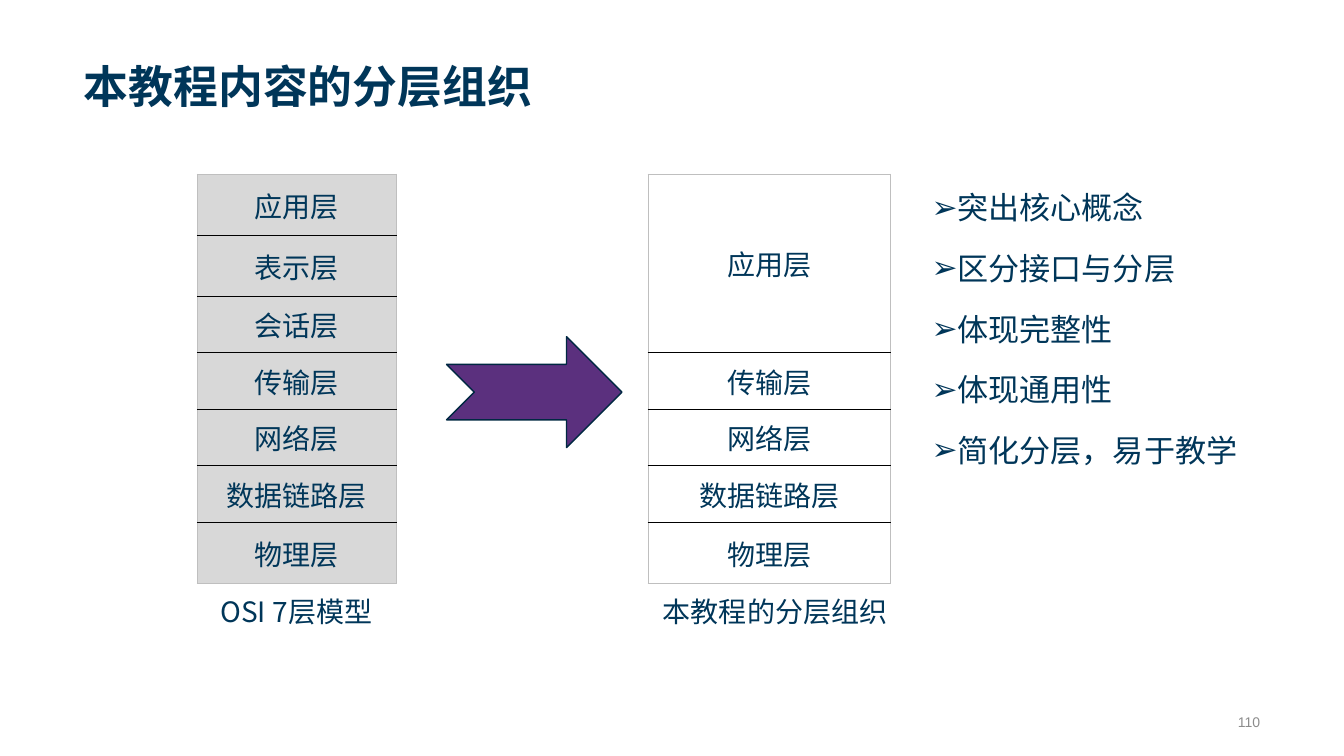
from lxml import etree
from pptx import Presentation
from pptx.dml.color import RGBColor
from pptx.enum.shapes import MSO_SHAPE
from pptx.enum.text import MSO_ANCHOR, MSO_AUTO_SIZE, PP_ALIGN
from pptx.oxml.ns import qn
from pptx.util import Inches, Pt

NAVY = RGBColor(0x00, 0x36, 0x59)
DARK_NAVY = RGBColor(0x00, 0x28, 0x42)
PURPLE = RGBColor(0x5B, 0x30, 0x7E)
LIGHT_GREY = RGBColor(0xD8, 0xD8, 0xD8)
EDGE_GREY = RGBColor(0xBF, 0xBF, 0xBF)
NUMBER_GREY = RGBColor(0x8C, 0x8C, 0x8C)
BLACK = RGBColor(0, 0, 0)
WHITE = RGBColor(0xFF, 0xFF, 0xFF)

NOTCHED_ARROW = MSO_SHAPE.NOTCHED_RIGHT_ARROW
TOP, MIDDLE, BOTTOM = MSO_ANCHOR.TOP, MSO_ANCHOR.MIDDLE, MSO_ANCHOR.BOTTOM
LEFT, CENTER, RIGHT = PP_ALIGN.LEFT, PP_ALIGN.CENTER, PP_ALIGN.RIGHT
NO_AUTOFIT = MSO_AUTO_SIZE.NONE

TALL, SHORT = 8.07, 7.47
STACK_TOP, CAPTION_TOP, CAPTION_HEIGHT = 23.07, 78.67, 6.67
LOWER_LAYERS = [("传输层", SHORT), ("网络层", SHORT), ("数据链路层", SHORT), ("物理层", TALL)]
OSI_LAYERS = [("应用层", TALL), ("表示层", TALL), ("会话层", SHORT)] + LOWER_LAYERS
COURSE_LAYERS = [("应用层", 2 * TALL + SHORT)] + LOWER_LAYERS
GOALS = ["突出核心概念", "区分接口与分层", "体现完整性", "体现通用性", "简化分层，易于教学"]


class LayerSlide:
    """Draws styled elements on a slide divided into 100 columns and 100 rows."""

    font = "Noto Sans CJK SC"

    def __init__(self, deck):
        self.column = deck.slide_width / 100
        self.row = deck.slide_height / 100
        self.slide = deck.slides.add_slide(deck.slide_layouts[1])

    def box(self, left, top, width, height):
        return (round(left * self.column), round(top * self.row),
                round(width * self.column), round(height * self.row))

    def style(self, paragraph, size, align, color=NAVY, bold=False, font=font):
        paragraph.alignment = align
        face = paragraph.font
        face.size, face.bold, face.name = Pt(size), bold, font
        face.color.rgb = color
        defaults = paragraph._p.pPr.find(qn("a:defRPr"))
        etree.SubElement(defaults, qn("a:ea"), typeface=font)

    def place(self, placeholder, area, anchor):
        placeholder.left, placeholder.top, placeholder.width, placeholder.height = self.box(*area)
        frame = placeholder.text_frame
        frame.auto_size = NO_AUTOFIT
        frame.vertical_anchor = anchor
        return frame

    def title(self, words, area):
        heading = self.place(self.slide.shapes.title, area, BOTTOM)
        heading.margin_bottom = 0
        heading.text = words
        self.style(heading.paragraphs[0], 32, LEFT, bold=True)

    def bullets(self, items, area):
        body = self.place(self.slide.placeholders[1], area, TOP)
        body.text = "\n".join(items)
        for index, item in enumerate(body.paragraphs):
            item.line_spacing = 1.25
            item.space_before = Pt(10 if index else 0)
            properties = item._p.get_or_add_pPr()
            properties.set("marL", str(Inches(0.25)))
            properties.set("indent", str(Inches(-0.25)))
            etree.SubElement(properties, qn("a:buFont"), typeface="Arial")
            etree.SubElement(properties, qn("a:buChar"), char="➢")
            self.style(item, 22.2, LEFT)

    def label(self, words, area, size, align, anchor=TOP, **look):
        frame = self.slide.shapes.add_textbox(*self.box(*area)).text_frame
        frame.word_wrap = True
        frame.vertical_anchor = anchor
        frame.margin_top = frame.margin_bottom = 0
        frame.text = words
        self.style(frame.paragraphs[0], size, align, **look)

    def border(self, cell, side, color):
        line = etree.SubElement(cell._tc.get_or_add_tcPr(), qn(f"a:ln{side}"), w=str(Pt(1)))
        fill = etree.SubElement(line, qn("a:solidFill"))
        etree.SubElement(fill, qn("a:srgbClr"), val=str(color))

    def stack(self, layers, left, width, fill):
        height = sum(share for _, share in layers)
        area = self.box(left, STACK_TOP, width, height)
        table = self.slide.shapes.add_table(len(layers), 1, *area).table
        table.first_row = table.horz_banding = False
        last = len(layers) - 1
        for index, (name, share) in enumerate(layers):
            table.rows[index].height = round(share * self.row)
            cell = table.cell(index, 0)
            cell.text = name
            cell.vertical_anchor = MIDDLE
            self.style(cell.text_frame.paragraphs[0], 20, CENTER)
            self.border(cell, "L", EDGE_GREY)
            self.border(cell, "R", EDGE_GREY)
            self.border(cell, "T", BLACK if index else EDGE_GREY)
            self.border(cell, "B", BLACK if index < last else EDGE_GREY)
            cell.fill.solid()
            cell.fill.fore_color.rgb = fill

    def arrow(self, area):
        arrow = self.slide.shapes.add_shape(NOTCHED_ARROW, *self.box(*area))
        arrow.shadow.inherit = False
        arrow.fill.solid()
        arrow.fill.fore_color.rgb = PURPLE
        arrow.line.color.rgb = DARK_NAVY
        arrow.line.width = Pt(1)


def main():
    deck = Presentation()
    deck.slide_width, deck.slide_height = Inches(13.33), Inches(7.5)
    page = LayerSlide(deck)
    page.title("本教程内容的分层组织", (5.48, 0, 89.1, 14.93))
    page.bullets(GOALS, (68.56, STACK_TOP, 24.9, 46.67))
    page.stack(OSI_LAYERS, 14.7, 14.78, LIGHT_GREY)
    page.label("OSI 7层模型", (13.2, CAPTION_TOP, 17.7, CAPTION_HEIGHT), 20, CENTER)
    page.stack(COURSE_LAYERS, 48.23, 18, WHITE)
    page.label("本教程的分层组织", (48, CAPTION_TOP, 19.35, CAPTION_HEIGHT), 20, CENTER)
    page.arrow((33.23, 44.53, 13.05, 14.67))
    page.label("110", (63.75, 93.47, 30.75, 4), 10, RIGHT, MIDDLE, color=NUMBER_GREY, font="Arial")
    deck.save("out.pptx")


if __name__ == "__main__":
    main()
